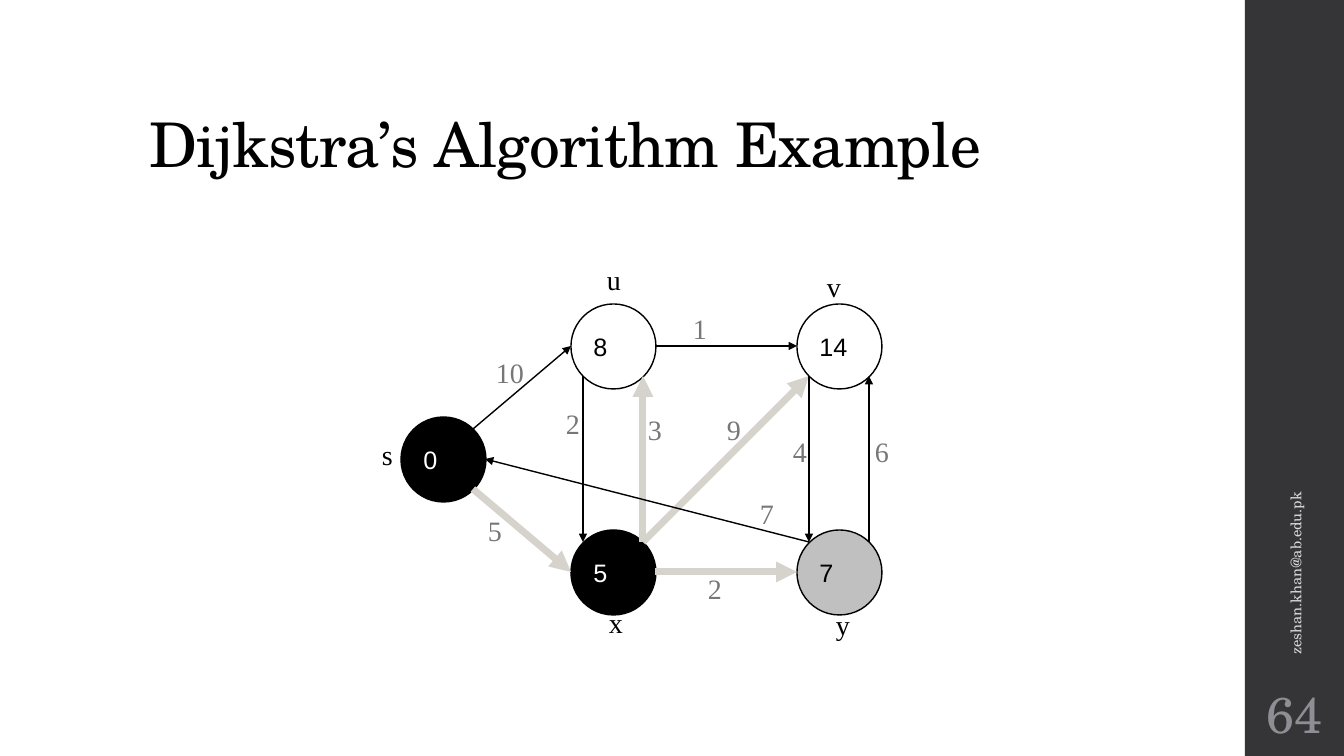
from lxml.etree import SubElement
from pptx import Presentation
from pptx.dml.color import RGBColor
from pptx.enum.shapes import MSO_CONNECTOR as CONN, MSO_SHAPE as SHAPE
from pptx.enum.text import MSO_ANCHOR as ANCHOR, MSO_AUTO_SIZE as AUTO, PP_ALIGN as ALIGN
from pptx.oxml.ns import qn
from pptx.util import Emu, Pt

SERIF, SANS, ROMAN = "TeX Gyre Schola", "Arial", "Times New Roman"
BLACK, WHITE, GRAY, TREE = "000000", "FFFFFF", "777777", "D6D3CC"

DIAMETER, RADIUS, DIAGONAL = 85, 42, 30
SIDES = {
    "left": (-RADIUS, 0), "right": (RADIUS, 0),
    "nw": (-DIAGONAL, -DIAGONAL), "ne": (DIAGONAL, -DIAGONAL),
    "sw": (-DIAGONAL, DIAGONAL), "se": (DIAGONAL, DIAGONAL),
}
# name: centre, distance, fill, text colour, label position
NODES = {
    "u": ((241, 88), "8", None, BLACK, (225, 0)),
    "v": ((467, 88), "14", None, BLACK, (445, 7)),
    "x": ((241, 314), "5", BLACK, WHITE, (227, 343)),
    "y": ((467, 314), "7", "C0C0C0", BLACK, (454, 345)),
    "s": ((71, 201), "0", BLACK, WHITE, (0, 175)),
}
# start, side, end, side, on tree, weight, weight position, weight width
EDGES = [
    ("x", "ne", "u", "se", True, "3", (266, 150), 56),
    ("u", "sw", "x", "nw", False, "2", (184, 144), 56),
    ("u", "right", "v", "left", False, "1", (311, 49), 85),
    ("x", "ne", "v", "sw", True, "9", (345, 150), 56),
    ("v", "sw", "y", "nw", False, "4", (411, 172), 56),
    ("y", "ne", "v", "se", False, "6", (493, 172), 56),
    ("x", "right", "y", "left", True, "2", (326, 309), 56),
    ("y", "nw", "s", "right", False, "7", (378, 234), 56),
    ("s", "se", "x", "left", True, "5", (106, 251), 85),
    ("s", "ne", "u", "left", False, "10", (114, 93), 85),
]


def px(n):
    return Emu(round(n * 914400 / 100.8))


def rgb(code):
    return RGBColor.from_string(code)


def write(sp, text, size, font, color, anchor=ANCHOR.TOP, align=ALIGN.LEFT):
    tf = sp.text_frame
    tf.text = text
    tf.word_wrap = True
    tf.auto_size = AUTO.NONE
    tf.vertical_anchor = anchor
    p = tf.paragraphs[0]
    p.alignment = align
    r = p.runs[0]
    r.font.size = Pt(size)
    r.font.name = font
    r.font.color.rgb = rgb(color)
    return r


def add_text(s, box, *style):
    sp = s.shapes.add_textbox(*map(px, box))
    write(sp, *style)
    return sp


def add_title(s, box, text):
    sp = s.shapes.title
    sp.left, sp.top, sp.width, sp.height = map(px, box)
    r = write(sp, text, 44, SERIF, BLACK, ANCHOR.BOTTOM)
    sp.text_frame.paragraphs[0].line_spacing = 0.9
    r.font._element.set("spc", "-50")


def add_sidebar(s, left, top, width, height):
    bar = s.shapes.add_shape(SHAPE.RECTANGLE, *map(px, (left, top, width, height)))
    bar.shadow.inherit = False
    bar.fill.solid()
    bar.fill.fore_color.rgb = rgb("353537")
    bar.line.fill.background()
    footer = add_text(s, (left - 147, top + 447, 395, 40),
                      "zeshan.khan@ab.edu.pk", 10.5, SERIF, "D9D9DB", ANCHOR.MIDDLE)
    footer.rotation = 270
    number = add_text(s, (left, top + 680, width, 66),
                      "64", 36, SERIF, "8E8E94", ANCHOR.MIDDLE, ALIGN.CENTER)
    tf = number.text_frame
    tf.margin_left = tf.margin_right = tf.margin_top = tf.margin_bottom = px(5)


def add_node(s, cx, cy, distance, fill, color):
    sp = s.shapes.add_shape(SHAPE.OVAL, px(cx - RADIUS), px(cy - RADIUS),
                            px(DIAMETER), px(DIAMETER))
    sp.shadow.inherit = False
    if fill:
        sp.fill.solid()
        sp.fill.fore_color.rgb = rgb(fill)
    else:
        sp.fill.background()
    sp.line.color.rgb = rgb(BLACK)
    sp.line.width = Pt(1)
    write(sp, distance, 18, SANS, color, ANCHOR.MIDDLE)


def add_arrow(s, start, end, color, width):
    c = s.shapes.add_connector(CONN.STRAIGHT, *map(px, start + end))
    c.line.color.rgb = rgb(color)
    c.line.width = Pt(width)
    SubElement(c.line._get_or_add_ln(), qn("a:tailEnd"), type="triangle")
    SubElement(c._element.spPr, qn("a:effectLst"))


def add_graph(s, left, top):
    def place(point, shift=(0, 0)):
        return left + point[0] + shift[0], top + point[1] + shift[1]

    for center, distance, fill, color, _ in NODES.values():
        add_node(s, *place(center), distance, fill, color)
    for a, a_side, b, b_side, on_tree, *_ in EDGES:
        add_arrow(s, place(NODES[a][0], SIDES[a_side]), place(NODES[b][0], SIDES[b_side]),
                  *((TREE, 5) if on_tree else (BLACK, 1)))
    for name, (*_, at) in NODES.items():
        add_text(s, (*place(at), 56, 43), name, 20, ROMAN, BLACK)
    for *_, weight, at, width in EDGES:
        add_text(s, (*place(at), width, 43), weight, 20, ROMAN, GRAY)


def main():
    prs = Presentation()
    prs.slide_width, prs.slide_height = px(1344), px(756)
    s = prs.slides.add_slide(prs.slide_layouts[5])
    add_sidebar(s, 1245, 0, 99, 756)
    add_title(s, (139, 40, 1068, 146), "Dijkstra’s Algorithm Example")
    add_graph(s, 372, 258)
    prs.save("out.pptx")


if __name__ == "__main__":
    main()
